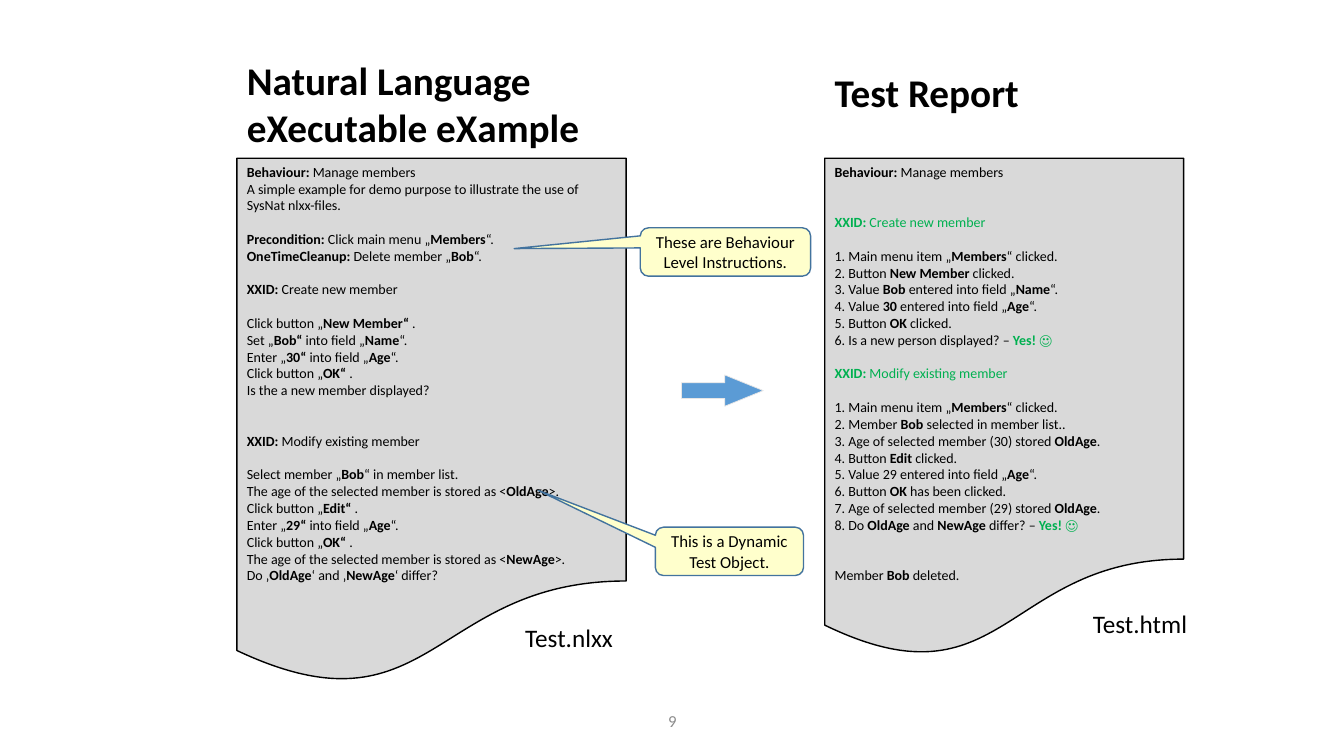
import pptx
import pptx.util
import pptx.dml.color
import pptx.enum.shapes
import pptx.enum.text

RGBColor = pptx.dml.color.RGBColor
Shape = pptx.enum.shapes.MSO_SHAPE
Align = pptx.enum.text.PP_ALIGN
Anchor = pptx.enum.text.MSO_ANCHOR

BLACK = RGBColor(0x00, 0x00, 0x00)
GREEN = RGBColor(0x00, 0xB0, 0x50)
GREY = RGBColor(0x8C, 0x8C, 0x8C)
SHEET = RGBColor(0xD9, 0xD9, 0xD9)
BLUE = RGBColor(0x5B, 0x9B, 0xD5)
BLUE_LINE = RGBColor(0x43, 0x73, 0x9E)
PALE_LINE = RGBColor(0xE7, 0xE6, 0xE6)
YELLOW = RGBColor(0xFF, 0xFF, 0xCC)

EMU_PER_PX = 9144  # 100 px to the inch
FONT = "Calibri"
BODY_LINE_PT = 12

# Each section: blank lines above it, then its lines.
# *...* marks bold words, ~...~ marks green ones.
EXAMPLE_SECTIONS = [
    (0, ["*Behaviour:* Manage members",
         "A simple example for demo purpose to illustrate the use of SysNat nlxx-files."]),
    (1, ["*Precondition:* Click main menu „*Members*“.",
         "*OneTimeCleanup:* Delete member „*Bob*“."]),
    (1, ["*XXID:* Create new member"]),
    (1, ["Click button „*New Member“* .",
         "Set „*Bob“ *into field „*Name*“.",
         "Enter „*30“ *into field „*Age*“.",
         "Click button „*OK“* .",
         "Is the a new member displayed?"]),
    (2, ["*XXID:* Modify existing member"]),
    (1, ["Select member „*Bob*“ in member list.",
         "The age of the selected member is stored as <*OldAge*>.",
         "Click button „*Edit“* .",
         "Enter „*29“ *into field „*Age*“.",
         "Click button „*OK“* .",
         "The age of the selected member is stored as <*NewAge*>.",
         "Do ‚*OldAge*‘ and ‚*NewAge*‘ differ?"]),
]
REPORT_SECTIONS = [
    (0, ["*Behaviour:* Manage members"]),
    (2, ["~*XXID:* Create new member~"]),
    (1, ["1. Main menu item „*Members*“ clicked.",
         "2. Button *New Member *clicked.",
         "3. Value *Bob *entered into field „*Name*“.",
         "4. Value *30 *entered into field „*Age*“.",
         "5. Button *OK *clicked.",
         "6. Is a new person displayed? – ~*Yes! ☺*~"]),
    (1, ["~*XXID:* Modify existing member~"]),
    (1, ["1. Main menu item „*Members*“ clicked.",
         "2. Member *Bob *selected in member list..",
         "3. Age of selected member (30) stored *OldAge*.",
         "4. Button *Edit *clicked.",
         "5. Value 29 entered into field „*Age*“.",
         "6. Button *OK *has been clicked.",
         "7. Age of selected member (29) stored *OldAge*.",
         "8. Do *OldAge *and *NewAge *differ? – ~*Yes! ☺*~"]),
    (2, ["Member *Bob *deleted."]),
]


def px(*lengths):
    return [pptx.util.Emu(length * EMU_PER_PX) for length in lengths]


def write(frame, sections, size, color=BLACK, bold=False, align=Align.LEFT,
          anchor=Anchor.TOP, wrap=True):
    """Fill a text frame with sections of marked-up lines."""
    frame.word_wrap = wrap
    frame.vertical_anchor = anchor
    para = None
    for blank_lines, lines in sections:
        for index, line in enumerate(lines):
            para = frame.add_paragraph() if para else frame.paragraphs[0]
            para.alignment = align
            if index == 0 and blank_lines:
                para.space_before = pptx.util.Pt(blank_lines * BODY_LINE_PT)
            for green, stretch in enumerate(line.split("~")):
                for strong, words in enumerate(stretch.split("*")):
                    if words:
                        span = para.add_run()
                        span.text = words
                        span.font.name = FONT
                        span.font.size = pptx.util.Pt(size)
                        span.font.bold = bold or strong % 2 == 1
                        span.font.color.rgb = GREEN if green % 2 else color


def add_text(page, box, *lines, **style):
    frame = page.shapes.add_textbox(*px(*box)).text_frame
    write(frame, [(0, lines)], **style)


def add_filled(page, kind, box, fill, line, width=1, adjustments=()):
    shape = page.shapes.add_shape(kind, *px(*box))
    shape.shadow.inherit = False
    shape.fill.solid()
    shape.fill.fore_color.rgb = fill
    shape.line.color.rgb = line
    shape.line.width = pptx.util.Pt(width)
    for index, value in enumerate(adjustments):
        shape.adjustments[index] = value
    return shape


def document_panel(page, box, sections, heading, heading_size, heading_rise,
                   file_name, file_offset, file_width):
    """Draw a document sheet, its heading above and its file name below."""
    left, top, width, height = box
    sheet = add_filled(page, Shape.FLOWCHART_DOCUMENT, box, SHEET, BLACK)
    write(sheet.text_frame, sections, size=10)
    add_text(page, (left, top - heading_rise, *heading_size), *heading, size=28, bold=True)
    right_shift, down_shift = file_offset
    add_text(page, (left + right_shift, top + down_shift, file_width, 40),
             file_name, size=18, wrap=False)


def callout(page, box, words, tip):
    """Draw a note whose tip is given as shares of its size from its centre."""
    note = add_filled(page, Shape.ROUNDED_RECTANGULAR_CALLOUT, box, YELLOW, BLUE_LINE,
                      adjustments=(*tip, 0.17))
    write(note.text_frame, [(0, [words])], size=12, align=Align.CENTER, anchor=Anchor.MIDDLE)


def build_page(page):
    document_panel(page, (818, 157, 356, 496), REPORT_SECTIONS,
                   ["Test Report"], (245, 57), 94, "Test.html", (256, 442), 115)
    document_panel(page, (235, 157, 386, 523), EXAMPLE_SECTIONS,
                   ["Natural Language", "eXecutable eXample"], (387, 104), 106,
                   "Test.nlxx", (276, 455), 108)
    add_filled(page, Shape.RIGHT_ARROW, (676, 372, 81, 31), BLUE, PALE_LINE, 0.5, (0.5, 1.23))
    callout(page, (635, 226, 169, 48), "These are Behaviour Level Instructions.", (-1.24, -0.07))
    callout(page, (650, 523, 147, 48), "This is a Dynamic Test Object.", (-1.29, -1.26))
    add_text(page, (442, 695, 450, 40), "9", size=12, color=GREY,
             align=Align.CENTER, anchor=Anchor.MIDDLE)


def main():
    deck = pptx.Presentation()
    deck.slide_width, deck.slide_height = px(1333, 750)
    build_page(deck.slides.add_slide(deck.slide_layouts[6]))
    deck.save("out.pptx")


if __name__ == "__main__":
    main()
